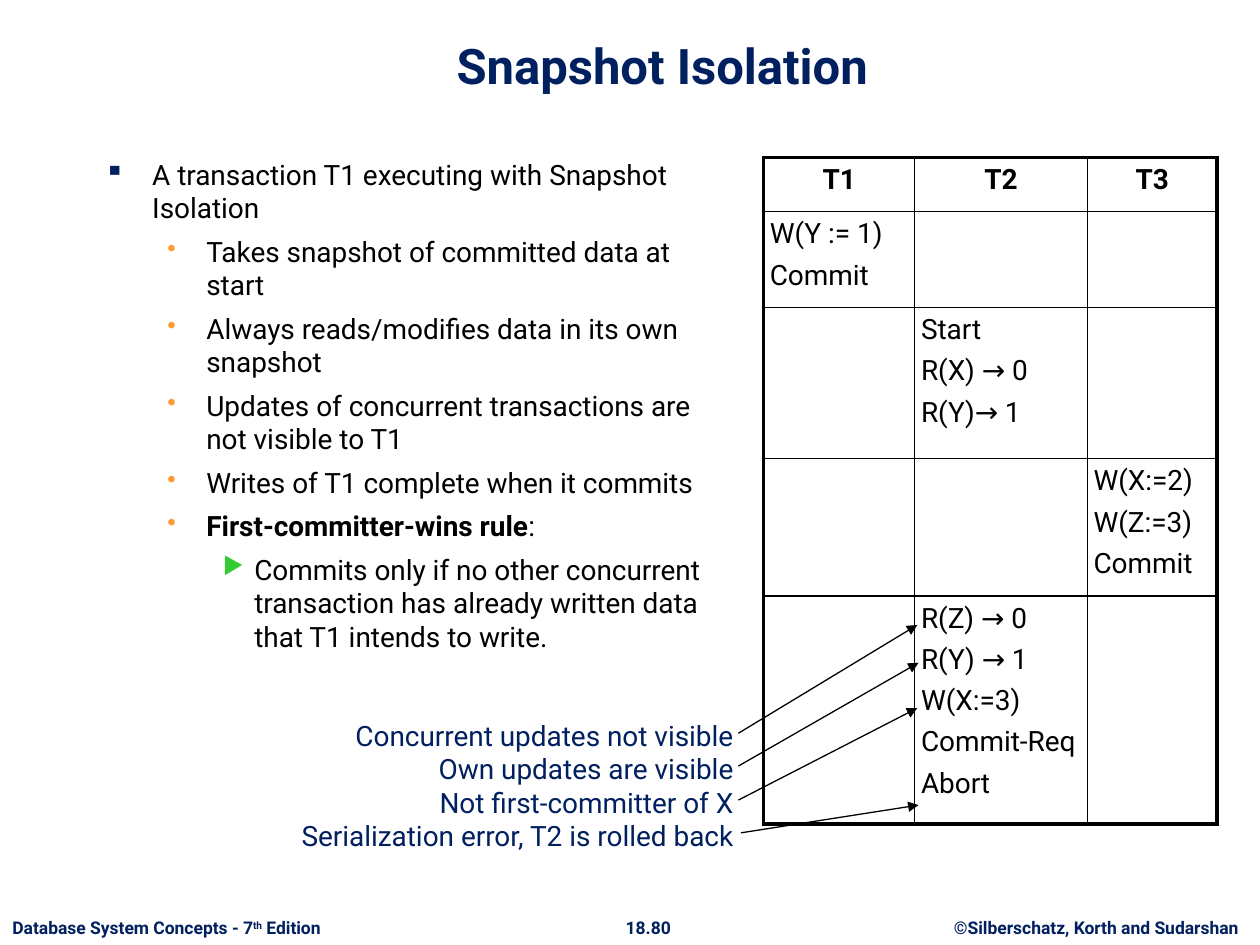
from pptx import Presentation
from pptx.dml.color import RGBColor
from pptx.enum.shapes import MSO_CONNECTOR as Conn
from pptx.enum.text import MSO_ANCHOR as Anchor, PP_ALIGN as Align
from pptx.oxml import parse_xml
from pptx.oxml.ns import nsdecls
from pptx.util import Inches, Pt

NAVY, BLACK = "002060", "000000"
TITLE = "Snapshot Isolation"

# level, text runs; a run is (text, bold)
POINTS = [
    (0, [("A transaction T1 executing with Snapshot Isolation", False)]),
    (1, [("Takes snapshot of committed data at start", False)]),
    (1, [("Always reads/modifies data in its own snapshot", False)]),
    (1, [("Updates of concurrent transactions are not visible to T1", False)]),
    (1, [("Writes of T1 complete when it commits", False)]),
    (1, [("First-committer-wins rule", True), (":", False)]),
    (2, [("Commits only if no other concurrent transaction has already "
          "written data that T1 intends to write.", False)]),
]
# bullet, colour, size in percent, left margin, hanging indent
LEVELS = [
    ("▪", NAVY, 100, 0.38, 0.38),
    ("•", "FF9933", 90, 0.81, 0.31),
    ("▶", "33CC33", 85, 1.19, 0.25),
]

COLS = [1.2, 1.37, 1.03]
ROWS = [0.43, 0.76, 1.2, 1.09, 1.81]
HEADS = ["T1", "T2", "T3"]
# (row, column): steps of the schedule
STEPS = {
    (1, 0): ["W(Y := 1)", "Commit"],
    (2, 1): ["Start", "R(X) → 0", "R(Y)→ 1"],
    (3, 2): ["W(X:=2)", "W(Z:=3)", "Commit"],
    (4, 1): ["R(Z) → 0", "R(Y) → 1", "W(X:=3)", "Commit-Req", "Abort"],
}

# note, arrow start, arrow end
NOTES = [
    ("Concurrent updates not visible", (5.86, 5.82), (7.28, 4.96)),
    ("Own updates are visible", (5.86, 6.08), (7.29, 5.26)),
    ("Not first-committer of X", (5.86, 6.35), (7.28, 5.62)),
    ("Serialization error, T2 is rolled back", (5.88, 6.61), (7.29, 6.39)),
]

# left, width, alignment, text runs
FOOT = [
    (0, 2.81, Align.LEFT, ["Database System Concepts - 7", "th", " Edition"]),
    (4.86, 0.57, Align.CENTER, ["18.80"]),
    (7.4, 2.6, Align.CENTER, ["©Silberschatz, Korth and Sudarshan"]),
]


def rgb(code):
    return RGBColor.from_string(code)


def add_run(para, text, size=16, color=BLACK, bold=False):
    run = para.add_run()
    run.text = text
    look = {"name": "Roboto", "size": Pt(size), "bold": bold}
    for key, val in look.items():
        setattr(run.font, key, val)
    run.font.color.rgb = rgb(color)
    return run


def paras(frame, items):
    """Yield a paragraph of the frame with each item."""
    for i, item in enumerate(items):
        yield (frame.add_paragraph() if i else frame.paragraphs[0]), item


def add_box(slide, *at, wrap=False):
    frame = slide.shapes.add_textbox(*map(Inches, at)).text_frame
    frame.word_wrap = wrap
    return frame


def add_bullet(para, level):
    char, color, size, left, hang = LEVELS[level]
    ppr = para._p.get_or_add_pPr()
    ppr.set("marL", str(Inches(left)))
    ppr.set("indent", str(-Inches(hang)))
    for xml in (
        f'<a:buClr {nsdecls("a")}><a:srgbClr val="{color}"/></a:buClr>',
        f'<a:buSzPct {nsdecls("a")} val="{size * 1000}"/>',
        f'<a:buChar {nsdecls("a")} char="{char}"/>',
    ):
        ppr.append(parse_xml(xml))


def add_edges(cell, row, col):
    """Draw thick lines on the outer edges of the table, thin ones inside."""
    outer = {"L": col == 0, "R": col == len(COLS) - 1,
             "T": row == 0, "B": row == len(ROWS) - 1}
    for side, thick in outer.items():
        width = Pt(2.25 if thick else 1)
        cell._tc.get_or_add_tcPr().append(parse_xml(
            f'<a:ln{side} {nsdecls("a")} w="{width}"><a:solidFill>'
            f'<a:srgbClr val="{BLACK}"/></a:solidFill></a:ln{side}>'))


def add_schedule(slide):
    frame = slide.shapes.add_table(
        len(ROWS), len(COLS), Inches(6.06), Inches(1.25),
        Inches(sum(COLS)), Inches(sum(ROWS)))
    table = frame.table
    table.first_row = table.horz_banding = False
    for col, width in zip(table.columns, COLS):
        col.width = Inches(width)
    for row, height in zip(table.rows, ROWS):
        row.height = Inches(height)
    for r in range(len(ROWS)):
        for c in range(len(COLS)):
            cell = table.cell(r, c)
            for side in ("left", "right", "top", "bottom"):
                setattr(cell, f"margin_{side}", Inches(0.05))
            add_edges(cell, r, c)
            cell.fill.background()
            lines = STEPS.get((r, c), []) if r else [HEADS[c]]
            for para, text in paras(cell.text_frame, lines):
                para.space_before = Pt(5)
                para.alignment = Align.LEFT if r else Align.CENTER
                add_run(para, text, bold=r == 0)


def add_arrow(slide, start, end):
    line = slide.shapes.add_connector(
        Conn.STRAIGHT, *map(Inches, start + end))
    line.line.color.rgb = rgb(BLACK)
    line.line.width = Pt(0.75)
    line.line._get_or_add_ln().append(
        parse_xml(f'<a:tailEnd {nsdecls("a")} type="triangle"/>'))
    line._element.spPr.append(parse_xml(f'<a:effectLst {nsdecls("a")}/>'))


def main():
    prs = Presentation()
    prs.slide_width, prs.slide_height = Inches(10), Inches(7.5)
    slide = prs.slides.add_slide(prs.slide_layouts[5])

    title = slide.shapes.title
    place = {"left": 0.84, "top": 0.13, "width": 8.83, "height": 0.67}
    for key, val in place.items():
        setattr(title, key, Inches(val))
    title.text_frame.vertical_anchor = Anchor.BOTTOM
    head = title.text_frame.paragraphs[0]
    head.alignment = Align.CENTER
    add_run(head, TITLE, 28, NAVY, True)

    body = add_box(slide, 0.73, 1.2, 5, 5.79, wrap=True)
    for para, (level, runs) in paras(body, POINTS):
        para.level = level
        para.space_before = Pt(5.6)
        add_bullet(para, level)
        for text, bold in runs:
            add_run(para, text, bold=bold)

    add_schedule(slide)

    notes = add_box(slide, 2.24, 5.65, 3.68, 1.17)
    for para, (text, start, end) in paras(notes, NOTES):
        para.alignment = Align.RIGHT
        add_run(para, text, color=NAVY)
        add_arrow(slide, start, end)

    for left, width, align, runs in FOOT:
        para = add_box(slide, left, 7.23, width, 0.27).paragraphs[0]
        para.alignment = align
        for text in runs:
            run = add_run(para, text, 10, NAVY, True)
            if text == "th":
                run._r.get_or_add_rPr().set("baseline", "30000")

    prs.save("out.pptx")


if __name__ == "__main__":
    main()
